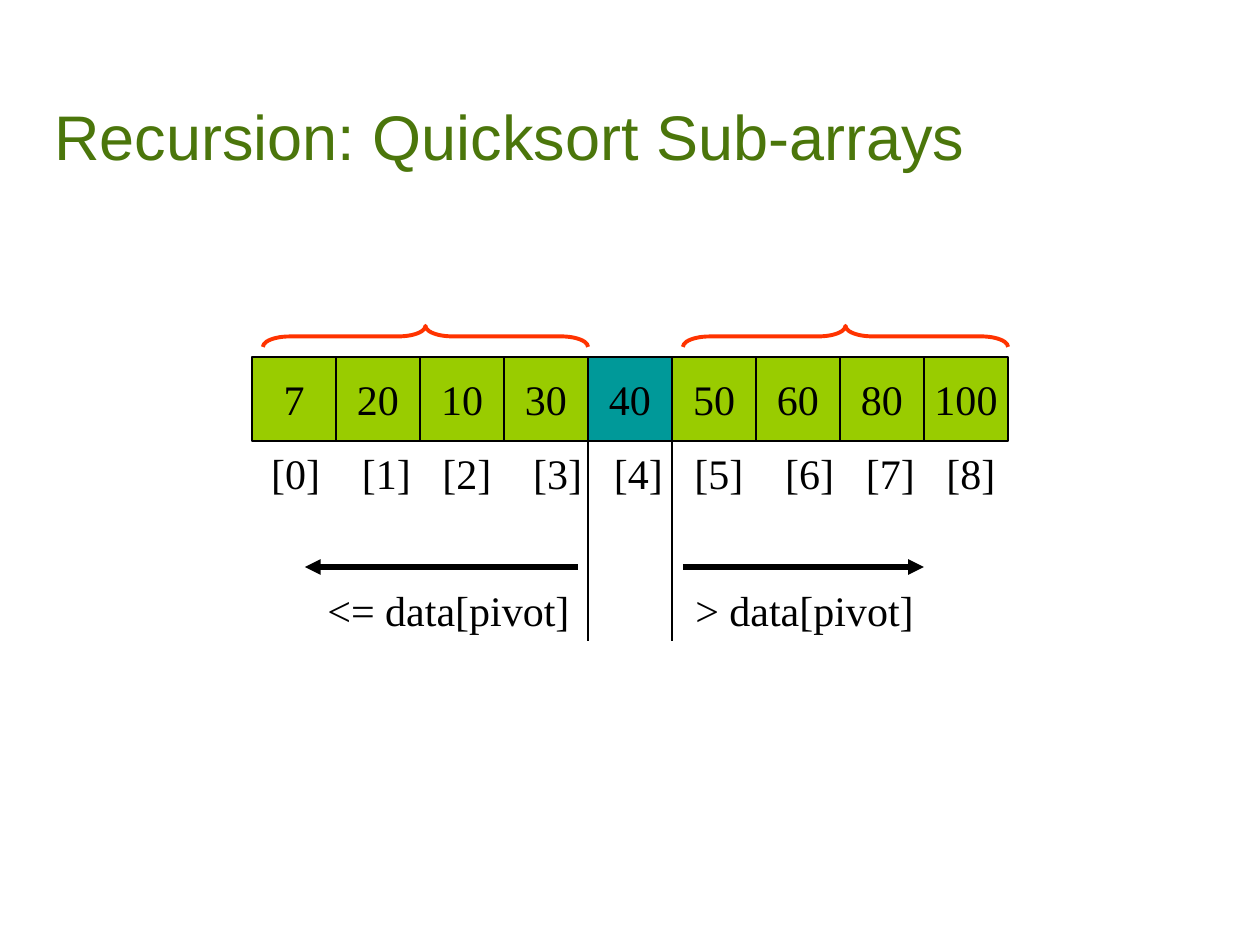
"""Build the slide on quicksort sub-arrays around a pivot."""
from dataclasses import dataclass
from itertools import accumulate

from lxml import etree
from pptx import Presentation
from pptx.dml.color import RGBColor
from pptx.enum.shapes import MSO_CONNECTOR, MSO_SHAPE
from pptx.enum.text import MSO_ANCHOR, PP_ALIGN
from pptx.oxml.ns import qn
from pptx.util import Inches, Pt

RECTANGLE, LEFT_BRACE = MSO_SHAPE.RECTANGLE, MSO_SHAPE.LEFT_BRACE
STRAIGHT = MSO_CONNECTOR.STRAIGHT
TOP, MIDDLE, BOTTOM = MSO_ANCHOR.TOP, MSO_ANCHOR.MIDDLE, MSO_ANCHOR.BOTTOM
CENTER = PP_ALIGN.CENTER


@dataclass(frozen=True)
class Theme:
    title_font: str = "Arial"
    body_font: str = "Times New Roman"
    title_size: int = 36
    body_size: int = 24
    title: str = "4B760B"
    ink: str = "000000"
    cell: str = "99CC00"
    pivot: str = "009999"
    brace: str = "FF3300"
    thin: float = 0.75
    medium: float = 2.25
    thick: float = 3


THEME = Theme()
TITLE = "Recursion: Quicksort Sub-arrays"
VALUES = [7, 20, 10, 30, 40, 50, 60, 80, 100]
PIVOT = 4
INDEX_GAPS = [0.72, 0.64, 0.72, 0.64, 0.64, 0.72, 0.64, 0.64]
SIDES = [
    {"label": "<= data[pivot]", "label_at": 3.75, "label_width": 3.18,
     "arrow": (6.88, 3.63), "brace_at": 3.13},
    {"label": "> data[pivot]", "label_at": 8.13, "label_width": 2.9,
     "arrow": (8.13, 11), "brace_at": 8.13},
]

SLIDE_WIDTH, SLIDE_HEIGHT = 10, 7.5
GRID_COLUMNS = 15
CELL = SLIDE_WIDTH / GRID_COLUMNS
ARRAY_LEFT, ARRAY_TOP = 3, 4.25
DIVIDER_BOTTOM, ARROW_ROW, LABEL_ROW = 7.63, 6.75, 6.88
BRACE_ROW, BRACE_WIDTH, BRACE_HEIGHT = 3.88, 3.87, 0.25
BRACE_CURVE = 1.29


def grid(*cells):
    return [Inches(count * CELL) for count in cells]


def color(value):
    return RGBColor.from_string(value)


def write(shape, text, font=THEME.body_font, size=THEME.body_size,
          ink=THEME.ink, anchor=TOP, align=None, wrap=False, tabs=()):
    frame = shape.text_frame
    frame.word_wrap = wrap
    frame.vertical_anchor = anchor
    frame.text = text
    paragraph = frame.paragraphs[0]
    paragraph.alignment = align
    if tabs:
        tab_list = etree.SubElement(paragraph._p.get_or_add_pPr(), qn("a:tabLst"))
        for position in tabs:
            etree.SubElement(tab_list, qn("a:tab"), pos=str(Inches(position)), algn="l")
    paragraph.font.name = font
    paragraph.font.size = Pt(size)
    paragraph.font.color.rgb = color(ink)


def add_cell(slide, index, value):
    shape = slide.shapes.add_shape(
        RECTANGLE, *grid(ARRAY_LEFT + index, ARRAY_TOP, 1, 1))
    shape.shadow.inherit = False
    shape.fill.solid()
    shape.fill.fore_color.rgb = color(THEME.pivot if index == PIVOT else THEME.cell)
    shape.line.color.rgb = color(THEME.ink)
    shape.line.width = Pt(THEME.thin)
    write(shape, str(value), anchor=MIDDLE, align=CENTER)


def add_indexes(slide):
    box = slide.shapes.add_textbox(*grid(3.08, 5.25, 8.92, 0.75))
    box.text_frame.margin_right = 0
    labels = "\t".join(f"[{index}]" for index in range(len(VALUES)))
    write(box, labels, wrap=True, tabs=list(accumulate(INDEX_GAPS)))


def add_line(slide, start, end, width, arrow=False):
    line = slide.shapes.add_connector(STRAIGHT, *grid(*start, *end))
    line.line.color.rgb = color(THEME.ink)
    line.line.width = Pt(width)
    if arrow:
        etree.SubElement(line.line._get_or_add_ln(), qn("a:tailEnd"), type="triangle")
    etree.SubElement(line._element.spPr, qn("a:effectLst"))


def add_brace(slide, left):
    center_x = left + BRACE_WIDTH / 2
    center_y = BRACE_ROW + BRACE_HEIGHT / 2
    brace = slide.shapes.add_shape(LEFT_BRACE, *grid(
        center_x - BRACE_HEIGHT / 2, center_y - BRACE_WIDTH / 2,
        BRACE_HEIGHT, BRACE_WIDTH))
    brace.rotation = 90
    brace.adjustments[0] = BRACE_CURVE
    brace.shadow.inherit = False
    brace.fill.background()
    brace.line.color.rgb = color(THEME.brace)
    brace.line.width = Pt(THEME.medium)


def main():
    presentation = Presentation()
    presentation.slide_width = Inches(SLIDE_WIDTH)
    presentation.slide_height = Inches(SLIDE_HEIGHT)
    slide = presentation.slides.add_slide(presentation.slide_layouts[6])

    title = slide.shapes.add_textbox(*grid(0.5, 0.5, 14.13, 1.63))
    write(title, TITLE, THEME.title_font, THEME.title_size, THEME.title, BOTTOM, wrap=True)

    for index, value in enumerate(VALUES):
        add_cell(slide, index, value)
    add_indexes(slide)
    for edge in (PIVOT, PIVOT + 1):
        x = ARRAY_LEFT + edge
        add_line(slide, (x, ARRAY_TOP), (x, DIVIDER_BOTTOM), THEME.thin)

    for side in SIDES:
        start, end = side["arrow"]
        add_line(slide, (start, ARROW_ROW), (end, ARROW_ROW), THEME.thick, arrow=True)
        label = slide.shapes.add_textbox(
            *grid(side["label_at"], LABEL_ROW, side["label_width"], 0.75))
        write(label, side["label"])
        add_brace(slide, side["brace_at"])

    presentation.save("out.pptx")


if __name__ == "__main__":
    main()
